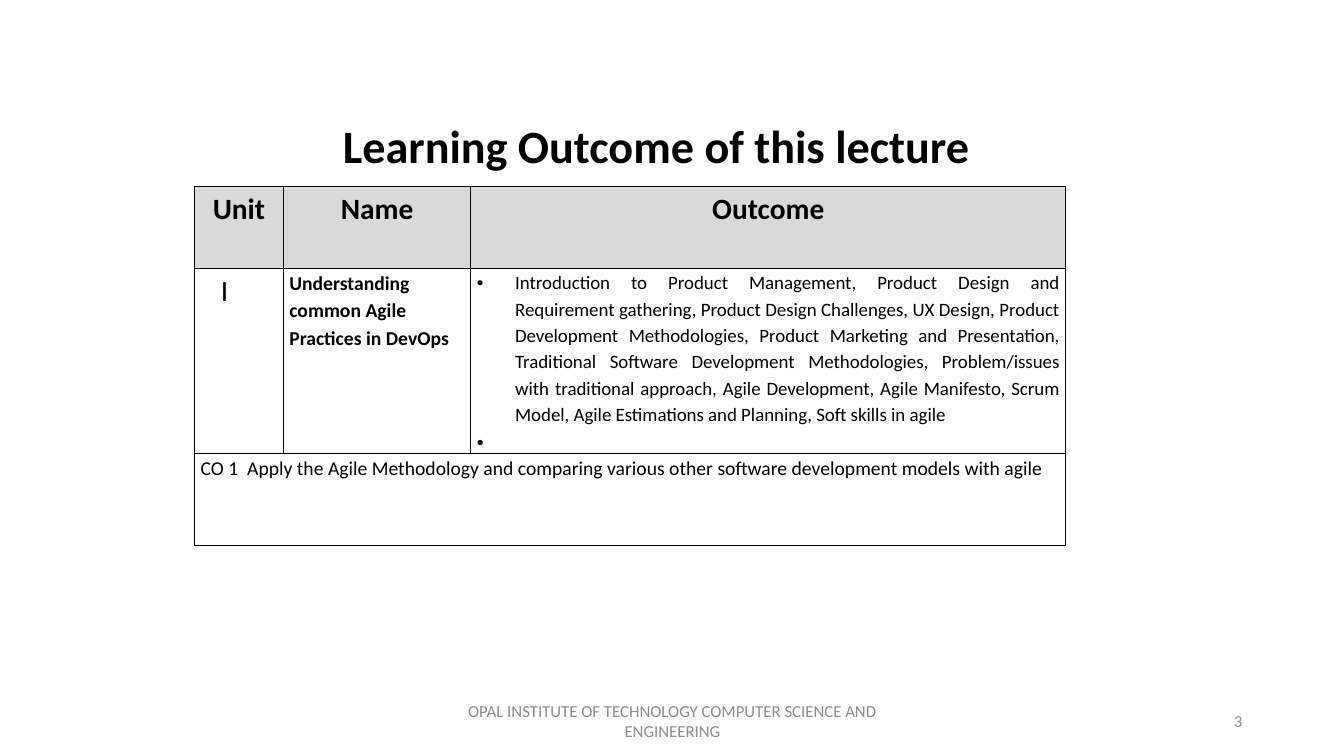
from lxml import etree
from pptx import Presentation
from pptx.dml.color import RGBColor
from pptx.enum.text import MSO_ANCHOR, PP_ALIGN
from pptx.oxml.ns import qn
from pptx.util import Inches, Pt

LEFT, CENTER, RIGHT, JUSTIFY = PP_ALIGN.LEFT, PP_ALIGN.CENTER, PP_ALIGN.RIGHT, PP_ALIGN.JUSTIFY
BOTTOM, MIDDLE = MSO_ANCHOR.BOTTOM, MSO_ANCHOR.MIDDLE
COLORS = {"text": "000000", "muted": "8C8C8C", "header": "D9D9D9", "border": "000000"}
FONT = "Calibri"


def format_paragraph(p, text, size, align=LEFT, bold=False, color="text", spacing=1.0):
    p.text = text
    p.alignment = align
    p.line_spacing = spacing
    for r in p.runs:
        r.font.name = FONT
        r.font.size = Pt(size)
        r.font.bold = bold
        r.font.color.rgb = RGBColor.from_string(COLORS[color])


def add_border(cell):
    tc_pr = cell._tc.get_or_add_tcPr()
    for side in ("a:lnL", "a:lnR", "a:lnT", "a:lnB"):
        ln = etree.SubElement(tc_pr, qn(side), w=str(Pt(1)))
        fill = etree.SubElement(ln, qn("a:solidFill"))
        etree.SubElement(fill, qn("a:srgbClr"), val=COLORS["border"])


prs = Presentation()
prs.slide_width, prs.slide_height = Inches(13.33), Inches(7.5)
s = prs.slides.add_slide(prs.slide_layouts[6])

# Title, footer and slide number
TEXTS = [
    ("Learning Outcome of this lecture", (2.36, 1.05, 8.3, 0.72), BOTTOM, 33, CENTER, True, "text", 0.9),
    ("OPAL INSTITUTE OF TECHNOLOGY COMPUTER SCIENCE AND ENGINEERING",
     (4.42, 6.95, 4.5, 0.4), MIDDLE, 12, CENTER, False, "muted", 1.0),
    ("3", (9.42, 6.95, 3, 0.4), MIDDLE, 12, RIGHT, False, "muted", 1.0),
]
for text, box, anchor, *style in TEXTS:
    tf = s.shapes.add_textbox(*map(Inches, box)).text_frame
    tf.word_wrap = True
    tf.vertical_anchor = anchor
    format_paragraph(tf.paragraphs[0], text, *style)

# Table grid
col_widths = [0.88, 1.86, 5.9]
row_heights = [0.81, 1.84, 0.91]
table = s.shapes.add_table(3, 3, Inches(1.93), Inches(1.85),
                           Inches(sum(col_widths)), Inches(sum(row_heights))).table
for col, width in zip(table.columns, col_widths):
    col.width = Inches(width)
for row, height in zip(table.rows, row_heights):
    row.height = Inches(height)
for i, row in enumerate(table.rows):
    for cell in row.cells:
        cell.margin_left = cell.margin_right = Inches(0.06)
        cell.margin_top = cell.margin_bottom = 0
        add_border(cell)
        if i == 0:
            cell.fill.solid()
            cell.fill.fore_color.rgb = RGBColor.from_string(COLORS["header"])
        else:
            cell.fill.background()
table.cell(2, 0).merge(table.cell(2, 2))
table.cell(1, 0).margin_left = Inches(0.26)

# Table text
CELLS = [
    (0, 0, "Unit", 21, CENTER, True),
    (0, 1, "Name", 21, CENTER, True),
    (0, 2, "Outcome", 21, CENTER, True),
    (1, 0, "I", 21, LEFT, False),
    (1, 1, "Understanding common Agile Practices in DevOps", 14, LEFT, True),
    (2, 0, "CO 1  Apply the Agile Methodology and comparing various other software "
           "development models with agile", 14, LEFT, False),
]
for row, col, text, size, align, bold in CELLS:
    p = table.cell(row, col).text_frame.paragraphs[0]
    format_paragraph(p, text, size, align, bold, spacing=1.15)

# Bulleted outcomes; the last bullet stands alone
OUTCOMES = [
    ("Introduction to Product Management, Product Design and Requirement gathering, "
     "Product Design Challenges, UX Design, Product Development Methodologies, "
     "Product Marketing and Presentation, Traditional Software Development Methodologies, "
     "Problem/issues with traditional approach, Agile Development, Agile Manifesto, "
     "Scrum Model, Agile Estimations and Planning, Soft skills in agile", 13.5),
    (" ", 14),
]
tf = table.cell(1, 2).text_frame
for i, (text, size) in enumerate(OUTCOMES):
    p = tf.add_paragraph() if i else tf.paragraphs[0]
    format_paragraph(p, text, size, JUSTIFY, spacing=1.15)
    p_pr = p._p.get_or_add_pPr()
    p_pr.set("marL", str(Inches(0.38)))
    p_pr.set("indent", str(Inches(-0.38)))
    etree.SubElement(p_pr, qn("a:buFont"), typeface="Arial")
    etree.SubElement(p_pr, qn("a:buChar"), char="•")

prs.save("out.pptx")
